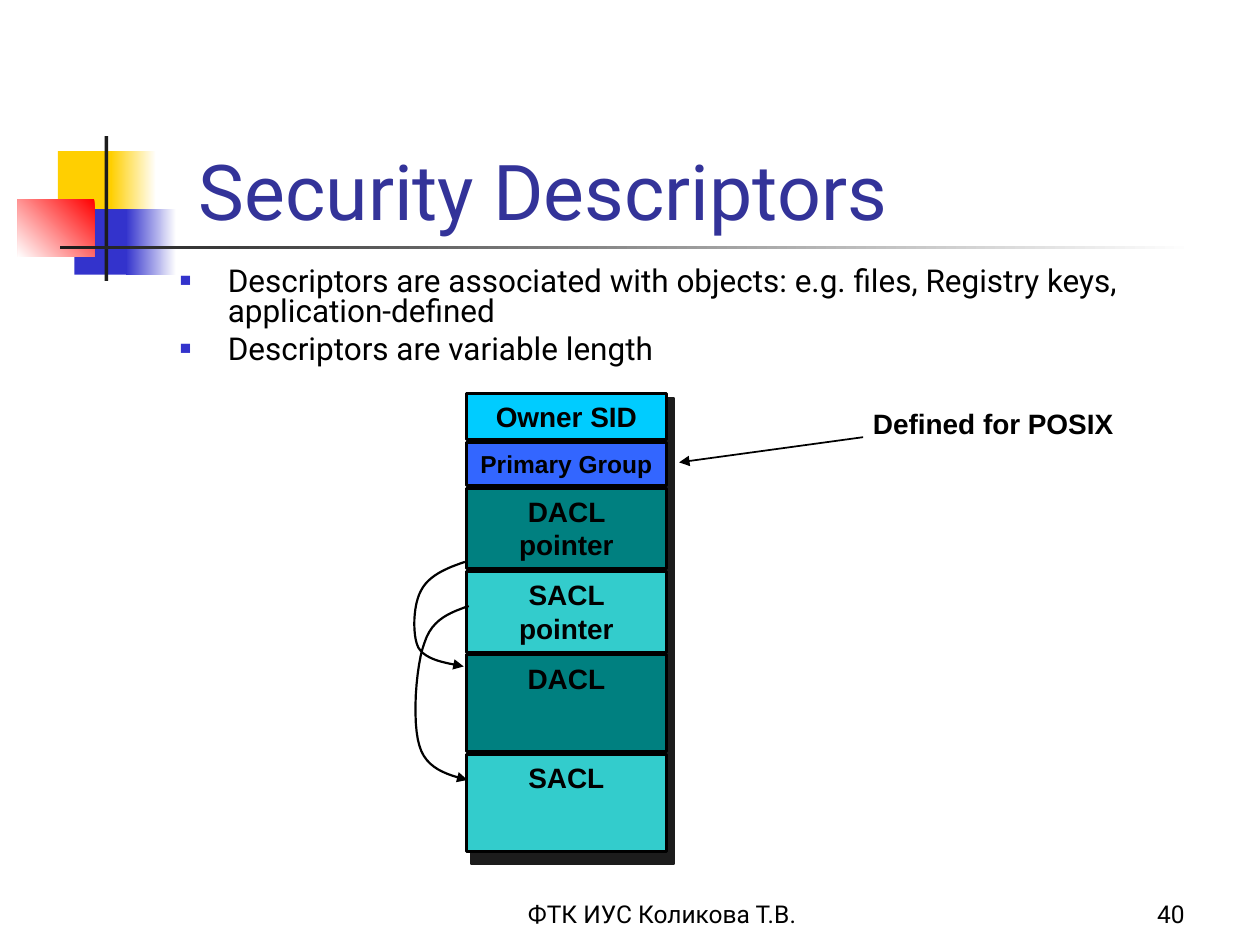
from dataclasses import dataclass

from lxml import etree
from pptx import Presentation
from pptx import util as u
from pptx.dml.color import RGBColor
from pptx.enum import shapes, text
from pptx.oxml import ns

CELL = 0.1
COLUMNS, ROWS = 100, 75


@dataclass(frozen=True)
class Theme:
    black: str = "000000"
    white: str = "FFFFFF"
    dark: str = "1C1C1C"
    yellow: str = "FFCF01"
    red: str = "FF0000"
    blue: str = "3333CC"
    title: str = "333399"
    owner: str = "00CCFF"
    group: str = "3366FF"
    dacl: str = "008080"
    sacl: str = "33CCCC"
    body_font: str = "Roboto"
    label_font: str = "Arial"
    title_size: float = 44
    body_size: float = 18
    label_size: float = 16
    small_size: float = 14


THEME = Theme()


def cells(*counts):
    return [u.Inches(count * CELL) for count in counts]


def rgb(color):
    return RGBColor.from_string(color)


def add_child(parent, tag, **attributes):
    return etree.SubElement(parent, ns.qn(tag), attributes)


def add_block(page, area, fill, line=None, width=1):
    block = page.shapes.add_shape(shapes.MSO_SHAPE.RECTANGLE, *cells(*area))
    block.shadow.inherit = False
    block.fill.solid()
    block.fill.fore_color.rgb = rgb(fill)
    if line:
        block.line.color.rgb = rgb(line)
        block.line.width = u.Pt(width)
    else:
        block.line.fill.background()
    return block


def add_fade(page, area, start, end, angle=180):
    block = add_block(page, area, start)
    block.fill.gradient()
    block.fill.gradient_angle = angle
    for stop, color, position in zip(block.fill.gradient_stops, (start, end), (0, 1)):
        stop.color.rgb = rgb(color)
        stop.position = position


def style(para, font, size, color=THEME.black, bold=False,
          align=text.PP_ALIGN.LEFT, before=0):
    para.alignment = align
    para.space_before = u.Pt(before)
    para.font.name = font
    para.font.size = u.Pt(size)
    para.font.color.rgb = rgb(color)
    para.font.bold = bold


def add_text(page, area, words, font, size, anchor=text.MSO_ANCHOR.BOTTOM,
             wrap=True, **look):
    box = page.shapes.add_textbox(*cells(*area))
    frame = box.text_frame
    frame.word_wrap = wrap
    frame.vertical_anchor = anchor
    frame.text = words
    for para in frame.paragraphs:
        style(para, font, size, **look)
    return box


def add_bullets(page, area, items):
    frame = page.shapes.add_textbox(*cells(*area)).text_frame
    frame.word_wrap = True
    frame.text = "\n".join(items)
    for para in frame.paragraphs:
        props = para._p.get_or_add_pPr()
        indent = u.Inches(0.38)
        props.set("marL", str(indent))
        props.set("indent", str(-indent))
        add_child(add_child(props, "a:buClr"), "a:srgbClr", val=THEME.blue)
        add_child(props, "a:buSzPct", val="60000")
        add_child(props, "a:buFont", typeface=THEME.label_font)
        add_child(props, "a:buChar", char="■")
        para.line_spacing = 0.8
        style(para, THEME.body_font, THEME.body_size, before=4.5)


def add_stack(page, left, top, width, gap, fields):
    for words, height, fill, size in fields:
        block = add_block(page, (left, top, width, height), fill, THEME.black, 1.75)
        frame = block.text_frame
        frame.word_wrap = True
        frame.vertical_anchor = text.MSO_ANCHOR.TOP
        frame.text = words
        style(frame.paragraphs[0], THEME.label_font, size, bold=True,
              align=text.PP_ALIGN.CENTER, before=10)
        top += height + gap


def finish_arrow(arrow, width):
    arrow.line.color.rgb = rgb(THEME.black)
    arrow.line.width = u.Pt(width)
    outline = arrow.element.spPr.find(ns.qn("a:ln"))
    add_child(outline, "a:tailEnd", type="triangle")


def add_straight_arrow(page, start, end):
    arrow = page.shapes.add_connector(
        shapes.MSO_CONNECTOR.STRAIGHT, *cells(*start, *end))
    finish_arrow(arrow, 1)
    add_child(arrow.element.spPr, "a:effectLst")


def bezier(knots, share):
    while len(knots) > 1:
        knots = [tuple(a + (b - a) * share for a, b in zip(first, second))
                 for first, second in zip(knots, knots[1:])]
    return knots[0]


def add_curved_arrow(page, knots, steps=12):
    points = [bezier(knots[at:at + 4], step / steps)
              for at in range(0, len(knots) - 1, 3)
              for step in range(1, steps + 1)]
    builder = page.shapes.build_freeform(*cells(*knots[0]))
    builder.add_line_segments([cells(*point) for point in points], close=False)
    arrow = builder.convert_to_shape()
    arrow.shadow.inherit = False
    arrow.fill.background()
    finish_arrow(arrow, 1.25)


def add_decoration(page):
    add_block(page, (4.6, 12, 4.8, 5.2), THEME.yellow)
    add_fade(page, (8.8, 12, 3.6, 5.2), THEME.white, THEME.yellow)
    add_block(page, (5.9, 16.6, 4.6, 5.2), THEME.blue)
    add_fade(page, (10, 16.6, 4, 5.2), THEME.white, THEME.blue)
    add_fade(page, (1.4, 15.8, 6.1, 4.6), THEME.red, THEME.white, angle=225)
    add_block(page, (8.3, 10.8, 0.3, 11.5), THEME.dark)
    add_fade(page, (4.8, 19.5, 90, 0.3), THEME.white, THEME.dark)


def add_descriptor(page):
    add_block(page, (37.4, 31.6, 16.1, 37), THEME.dark, THEME.dark)
    add_stack(page, 37, 31.2, 15.9, 0.22, [
        ("Owner SID", 3.7, THEME.owner, THEME.label_size),
        ("Primary Group", 3.4, THEME.group, THEME.small_size),
        ("DACL pointer", 6.4, THEME.dacl, THEME.label_size),
        ("SACL pointer", 6.4, THEME.sacl, THEME.label_size),
        ("DACL", 7.7, THEME.dacl, THEME.label_size),
        ("SACL", 7.7, THEME.sacl, THEME.label_size),
    ])
    add_curved_arrow(page, [
        (36.9, 44.6), (35.4, 45.1), (34, 45.7), (33.4, 46.9),
        (32.8, 48), (32.7, 50.4), (33.2, 51.4),
        (33.8, 52.4), (35.3, 52.6), (36.8, 52.9)])
    add_curved_arrow(page, [
        (37.2, 48.1), (35.8, 48.6), (34.3, 49.1), (33.7, 51),
        (33, 52.8), (32.7, 57.4), (33.3, 59.2),
        (33.8, 61), (35.5, 61.5), (37.1, 61.9)])
    add_straight_arrow(page, (68.5, 34.7), (53.9, 36.7))
    label = add_text(page, (68.3, 32.3, 21.1, 3.2), "Defined for POSIX",
                     THEME.label_font, THEME.label_size, text.MSO_ANCHOR.TOP,
                     wrap=False, bold=True, before=10)
    label.text_frame.margin_top = 0


def main():
    deck = Presentation()
    deck.slide_width, deck.slide_height = cells(COLUMNS, ROWS)
    page = deck.slides.add_slide(deck.slide_layouts[6])
    add_decoration(page)
    add_text(page, (14.8, 10, 85.2, 9.2), "Security Descriptors",
             THEME.body_font, THEME.title_size, color=THEME.title)
    add_bullets(page, (13.3, 20.8, 86.7, 9.2), [
        "Descriptors are associated with objects: e.g. files, Registry keys, "
        "application-defined",
        "Descriptors are variable length"])
    add_descriptor(page)
    add_text(page, (36.7, 69.2, 31.7, 5), "ФТК ИУС Коликова Т.В.",
             THEME.body_font, THEME.small_size, align=text.PP_ALIGN.CENTER)
    add_text(page, (74.2, 69.2, 20.8, 5), "40",
             THEME.body_font, THEME.small_size, align=text.PP_ALIGN.RIGHT)
    deck.save("out.pptx")


if __name__ == "__main__":
    main()
